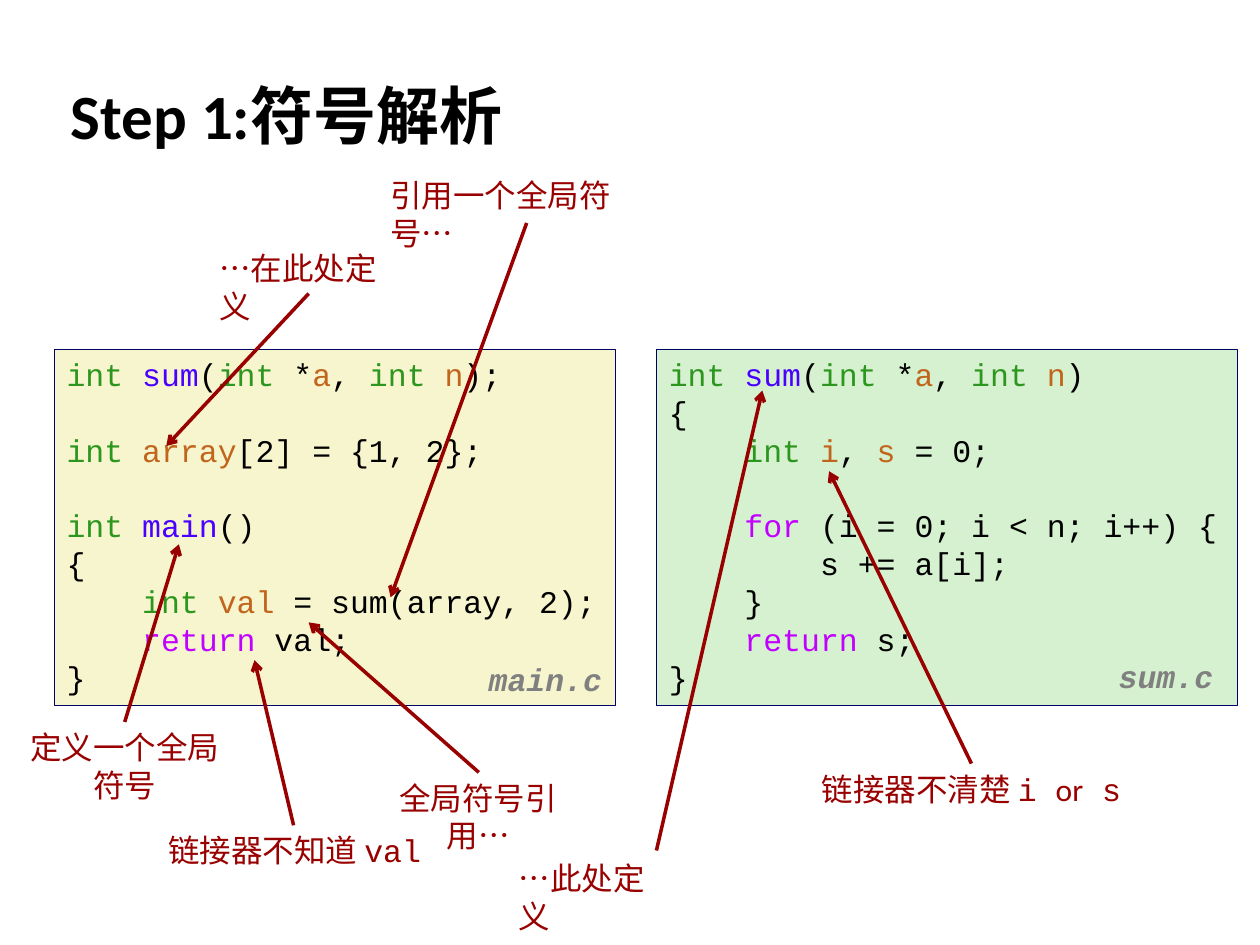
from dataclasses import dataclass

from lxml.etree import SubElement
from pptx import Presentation
from pptx.dml.color import RGBColor
from pptx.enum.shapes import MSO_CONNECTOR, MSO_SHAPE
from pptx.enum.text import MSO_ANCHOR, MSO_AUTO_SIZE, PP_ALIGN
from pptx.oxml.ns import qn
from pptx.util import Inches, Pt


@dataclass(frozen=True)
class Theme:
    body_font: str = "Calibri"
    code_font: str = "Courier New"
    title_size: float = 36
    text_size: float = 18
    code_pitch: float = 21.6
    ink: str = "000000"
    callout: str = "990000"
    file_name: str = "808080"
    border: str = "000066"
    main_fill: str = "F7F5CD"
    sum_fill: str = "D5F1CF"
    type_name: str = "2D961E"
    function: str = "4A00FF"
    variable: str = "C1651C"
    keyword: str = "C200FF"


THEME = Theme()


# Syntax colouring: plain strings are black, coloured pieces are (text, colour)
def func(name):
    return name, THEME.function


def var(name):
    return name, THEME.variable


def keyword(name):
    return name, THEME.keyword


INT = ("int ", THEME.type_name)
INDENT = "    "
SIGNATURE = [INT, func("sum"), "(", INT, "*", var("a"), ", ", INT, var("n")]

MAIN_CODE = [
    SIGNATURE + [");"],
    [],
    [INT, var("array"), "[2] = {1, 2};"],
    [],
    [INT, func("main"), "()"],
    ["{"],
    [INDENT, INT, var("val"), " = sum(array, 2);"],
    [INDENT, keyword("return"), " val;"],
    ["}"],
]
SUM_CODE = [
    SIGNATURE + [")"],
    ["{"],
    [INDENT, INT, var("i"), ", ", var("s"), " = 0;"],
    [],
    [INDENT, keyword("for"), " (i = 0; i < n; i++) {"],
    [INDENT * 2, "s += a[i];"],
    [INDENT, "}"],
    [INDENT, keyword("return"), " s;"],
    ["}"],
]


class SlideBuilder:
    def __init__(self, slide, theme):
        self.slide = slide
        self.theme = theme

    def style(self, font, color, **formats):
        values = {"name": self.theme.body_font,
                  "size": Pt(self.theme.text_size), **formats}
        for attribute, value in values.items():
            setattr(font, attribute, value)
        font.color.rgb = RGBColor.from_string(color)

    def frame(self, shape, wrap):
        text = shape.text_frame
        values = {"word_wrap": wrap, "auto_size": MSO_AUTO_SIZE.NONE,
                  "vertical_anchor": MSO_ANCHOR.TOP}
        for attribute, value in values.items():
            setattr(text, attribute, value)
        return text

    def paragraphs(self, text, count):
        return [text.paragraphs[0]] + [text.add_paragraph() for _ in range(count - 1)]

    def title(self, wording, box):
        heading = self.slide.shapes.title
        for side, value in zip(("left", "top", "width", "height"), box):
            setattr(heading, side, Inches(value))
        text = self.frame(heading, True)
        text.vertical_anchor = MSO_ANCHOR.MIDDLE
        text.text = wording
        text.paragraphs[0].alignment = PP_ALIGN.LEFT
        self.style(text.paragraphs[0].runs[0].font, self.theme.ink,
                   size=Pt(self.theme.title_size), bold=True)

    def code(self, lines, box, fill):
        panel = self.slide.shapes.add_shape(MSO_SHAPE.RECTANGLE, *map(Inches, box))
        panel.shadow.inherit = False
        panel.fill.solid()
        panel.fill.fore_color.rgb = RGBColor.from_string(fill)
        panel.line.color.rgb = RGBColor.from_string(self.theme.border)
        panel.line.width = Pt(0.25)
        text = self.frame(panel, False)
        for paragraph, pieces in zip(self.paragraphs(text, len(lines)), lines):
            paragraph.alignment = PP_ALIGN.LEFT
            paragraph.line_spacing = Pt(self.theme.code_pitch)
            self.style(paragraph.font, self.theme.ink, name=self.theme.code_font)
            for piece in pieces:
                wording, color = (piece, self.theme.ink) if isinstance(piece, str) else piece
                run = paragraph.add_run()
                run.text = wording
                self.style(run.font, color, name=self.theme.code_font)

    def file_label(self, wording, box):
        label = self.slide.shapes.add_textbox(*map(Inches, box))
        paragraph = self.frame(label, False).paragraphs[0]
        paragraph.line_spacing = 0.94
        run = paragraph.add_run()
        run.text = wording
        self.style(run.font, self.theme.file_name, name=self.theme.code_font,
                   bold=True, italic=True)

    def callout(self, lines, box, align, start, end):
        note = self.slide.shapes.add_textbox(*map(Inches, box))
        text = self.frame(note, True)
        for paragraph, pieces in zip(self.paragraphs(text, len(lines)), lines):
            paragraph.alignment = align
            # Body and code fonts alternate along the line
            for index, wording in enumerate(pieces):
                run = paragraph.add_run()
                run.text = wording
                font = self.theme.code_font if index % 2 else self.theme.body_font
                self.style(run.font, self.theme.callout, name=font)
        self.arrow(start, end)

    def arrow(self, start, end):
        pointer = self.slide.shapes.add_connector(
            MSO_CONNECTOR.STRAIGHT, *map(Inches, start + end))
        pointer.line.color.rgb = RGBColor.from_string(self.theme.callout)
        pointer.line.width = Pt(2)
        SubElement(pointer.line._get_or_add_ln(), qn("a:tailEnd"), type="arrow")
        SubElement(pointer._element.spPr, qn("a:effectLst"))


LEFT, CENTER, RIGHT = PP_ALIGN.LEFT, PP_ALIGN.CENTER, PP_ALIGN.RIGHT

# Lines of the note, its box, alignment, arrow start and arrow end
CALLOUTS = [
    ([["引用一个全局符号…"]], (3, 1.35, 2.37, 0.43), LEFT, (4.18, 1.77), (3.1, 4.74)),
    ([["定义一个全局"], ["符号"]], (0.14, 5.73, 1.7, 0.71), CENTER, (0.99, 5.73), (1.42, 4.32)),
    ([["链接器不知道 ", "val"]], (1.23, 6.55, 2.21, 0.4), RIGHT, (2.33, 6.55), (2.02, 5.24)),
    ([["全局符号引用…"]], (2.86, 6.13, 1.87, 0.4), CENTER, (3.8, 6.13), (2.45, 4.94)),
    ([["…此处定义"]], (4.02, 6.77, 1.37, 0.4), LEFT, (5.21, 6.75), (6.05, 3.1)),
    ([["链接器不清楚 ", "i ", "or", " s"]], (6.42, 6.06, 2.58, 0.4), CENTER,
     (7.71, 6.06), (6.58, 3.74)),
    ([["…在此处定义"]], (1.64, 1.93, 1.62, 0.4), LEFT, (2.45, 2.33), (1.32, 3.54)),
]


def main():
    deck = Presentation()
    deck.slide_width, deck.slide_height = Inches(10), Inches(7.5)
    builder = SlideBuilder(deck.slides.add_slide(deck.slide_layouts[5]), THEME)

    builder.title("Step 1:符号解析", (0.46, 0.48, 9.53, 0.86))

    # Source files side by side
    builder.code(MAIN_CODE, (0.43, 2.77, 4.45, 2.83), THEME.main_fill)
    builder.file_label("main.c", (3.78, 5.21, 1.1, 0.39))
    builder.code(SUM_CODE, (5.21, 2.77, 4.61, 2.83), THEME.sum_fill)
    builder.file_label("sum.c", (8.78, 5.19, 1.02, 0.39))

    # Notes pointing at the symbols
    for note in CALLOUTS:
        builder.callout(*note)

    deck.save("out.pptx")


if __name__ == "__main__":
    main()
